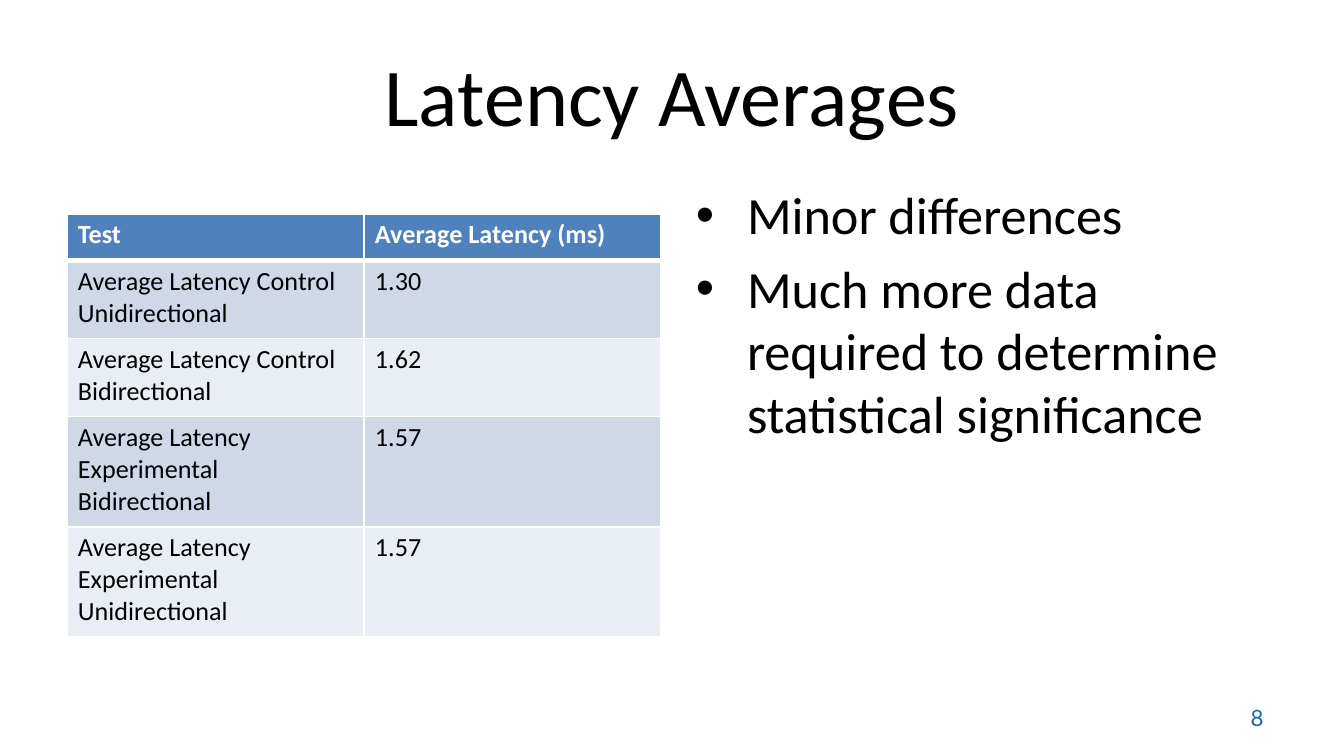
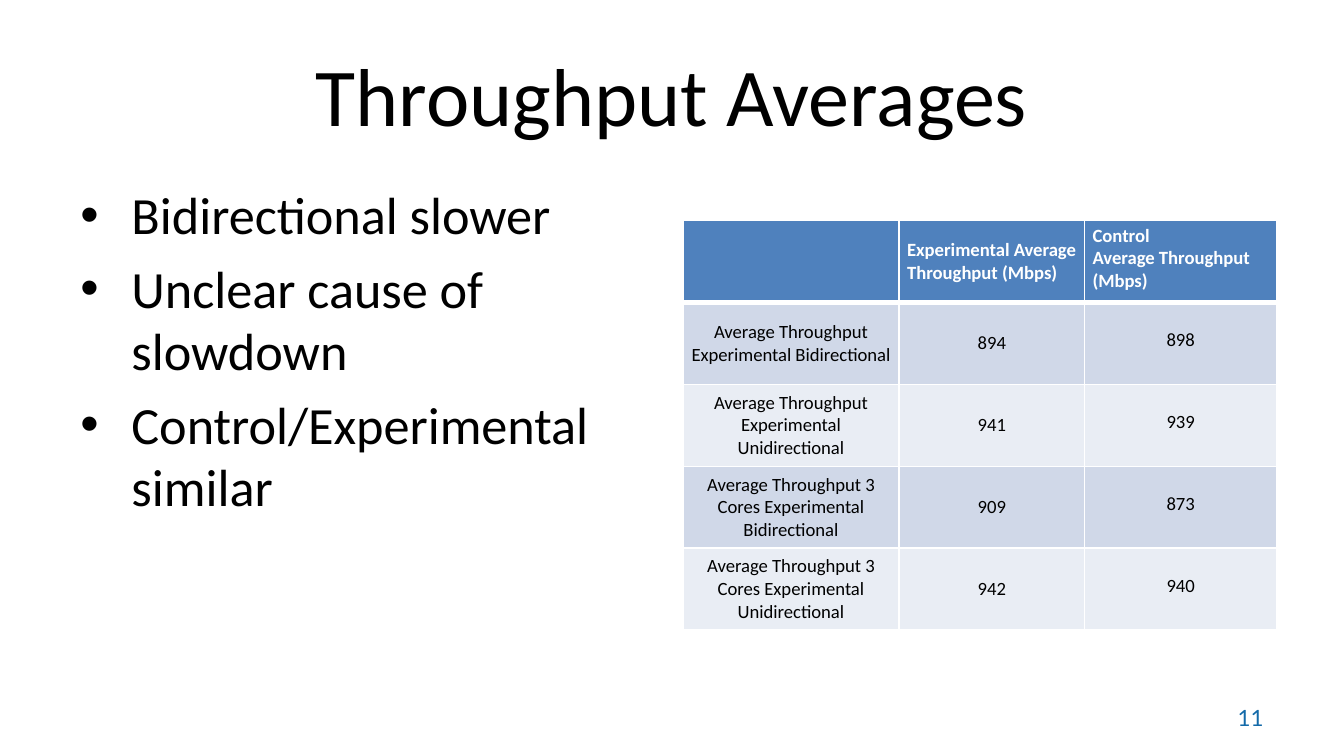
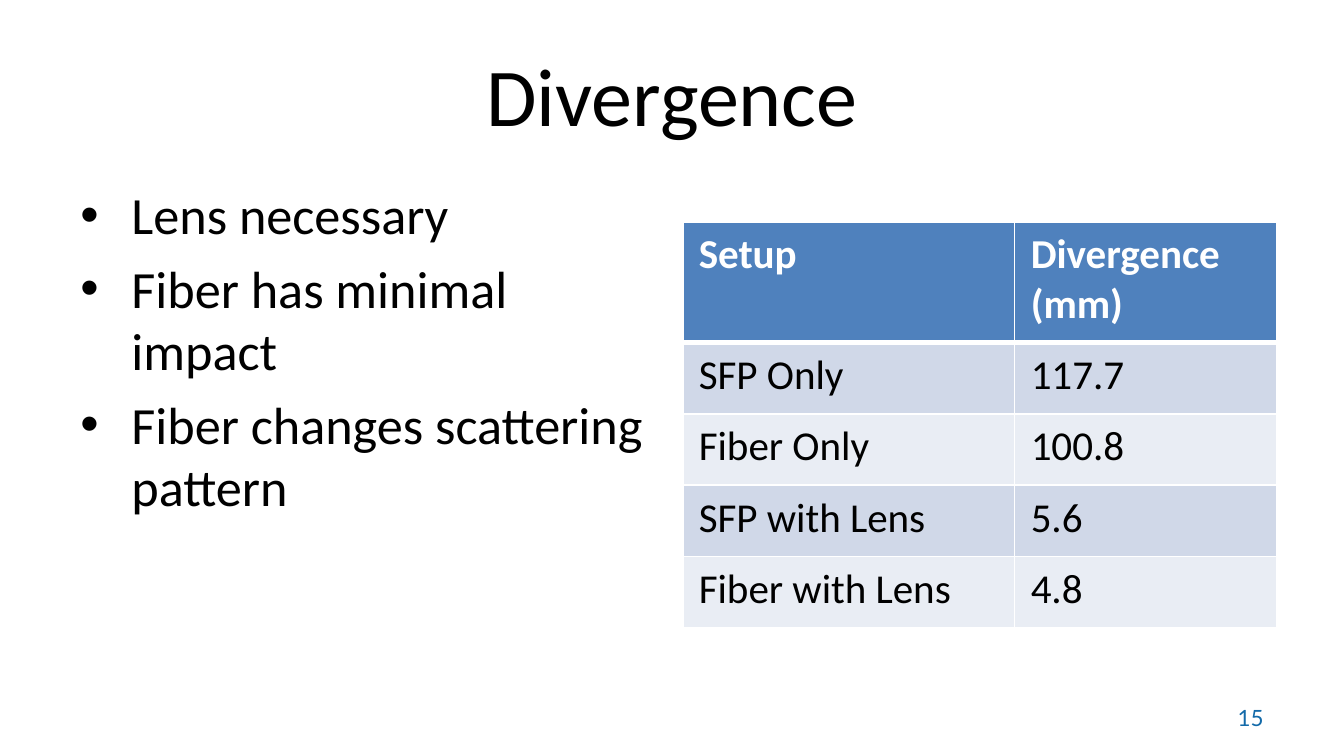
from lxml import etree
from pptx import Presentation
from pptx.dml.color import RGBColor
from pptx.enum.text import MSO_ANCHOR, PP_ALIGN
from pptx.oxml.ns import qn
from pptx.util import Inches, Pt

LEFT, CENTER, RIGHT = PP_ALIGN.LEFT, PP_ALIGN.CENTER, PP_ALIGN.RIGHT
TOP, MIDDLE = MSO_ANCHOR.TOP, MSO_ANCHOR.MIDDLE

COLORS = {
    "text": "000000",
    "header_text": "FFFFFF",
    "header": "4F81BD",
    "odd_row": "D0D8E8",
    "even_row": "E9EDF4",
    "border": "FFFFFF",
    "number": "136AA9",
}
BODY_FONT, NUMBER_FONT = "Calibri", "Lato"
TITLE_ONLY = 5
LEFT_COLUMN, RIGHT_COLUMN, COLUMN_WIDTH = 0.5, 5.08, 4.42
BULLET_INDENT = 0.38
NO_BREAK_SPACE = chr(160)


def style(paragraph, size, color="text", font=BODY_FONT, bold=False, align=LEFT):
    paragraph.alignment = align
    paragraph.font.size = Pt(size)
    for run in paragraph.runs:
        run.font.size = Pt(size)
        run.font.name = font
        run.font.bold = bold
        run.font.color.rgb = RGBColor.from_string(COLORS[color])


def add_text_frame(slide, left, top, width, height):
    frame = slide.shapes.add_textbox(
        Inches(left), Inches(top), Inches(width), Inches(height)
    ).text_frame
    frame.word_wrap = True
    return frame


def add_title(slide, text):
    title = slide.shapes.title
    title.left, title.top = Inches(0.5), Inches(0.23)
    title.width, title.height = Inches(9), Inches(0.94)
    title.text_frame.text = text
    title.text_frame.vertical_anchor = MIDDLE
    style(title.text_frame.paragraphs[0], 44, align=CENTER)


def add_bullets(slide, left, points):
    frame = add_text_frame(slide, left, 1.31, COLUMN_WIDTH, 3.71)
    for index, point in enumerate(points):
        paragraph = frame.add_paragraph() if index else frame.paragraphs[0]
        paragraph.text = point
        properties = paragraph._p.get_or_add_pPr()
        properties.set("marL", str(Inches(BULLET_INDENT)))
        properties.set("indent", str(-Inches(BULLET_INDENT)))
        etree.SubElement(properties, qn("a:buFont"), typeface="Arial")
        etree.SubElement(properties, qn("a:buChar"), char="•")
        style(paragraph, 28)
        if index:
            paragraph.space_before = Pt(5.6)


def add_slide_number(slide, number):
    paragraph = add_text_frame(slide, 7.17, 5.21, 2.33, 0.3).paragraphs[0]
    paragraph.text = str(number)
    paragraph.line_spacing = 0.9
    paragraph.space_after = Pt(6)
    style(paragraph, 12, "number", NUMBER_FONT, align=RIGHT)


def set_borders(cell, row):
    widths = {"L": 1, "R": 1, "T": 3 if row == 1 else 1, "B": 3 if row == 0 else 1}
    properties = cell._tc.get_or_add_tcPr()
    for side, width in widths.items():
        line = etree.SubElement(properties, qn(f"a:ln{side}"), w=str(Pt(width)))
        fill = etree.SubElement(line, qn("a:solidFill"))
        etree.SubElement(fill, qn("a:srgbClr"), val=COLORS["border"])


def format_cell(cell, row, text, size, inset, align=LEFT, anchor=TOP):
    set_borders(cell, row)
    band = "header" if row == 0 else "odd_row" if row % 2 else "even_row"
    cell.fill.solid()
    cell.fill.fore_color.rgb = RGBColor.from_string(COLORS[band])
    cell.margin_left = cell.margin_right = Inches(inset)
    cell.margin_top = cell.margin_bottom = Inches(inset / 2)
    cell.vertical_anchor = anchor
    cell.text_frame.text = text
    color = "header_text" if row == 0 else "text"
    style(cell.text_frame.paragraphs[0], size, color, bold=row == 0, align=align)


def add_data_table(slide, left, top, widths, heights, rows, size, inset,
                   body_align=LEFT, anchors=None):
    table = slide.shapes.add_table(
        len(rows), len(widths), Inches(left), Inches(top),
        Inches(sum(widths)), Inches(sum(heights)),
    ).table
    for column, width in zip(table.columns, widths):
        column.width = Inches(width)
    for table_row, height in zip(table.rows, heights):
        table_row.height = Inches(height)
    anchors = anchors or [TOP] * len(widths)
    for row, values in enumerate(rows):
        align = body_align if row else LEFT
        for column, text in enumerate(values):
            format_cell(table.cell(row, column), row, text, size, inset,
                        align, anchors[column])
    return table


def add_content_slide(presentation, title, number, bullets_left, points):
    slide = presentation.slides.add_slide(presentation.slide_layouts[TITLE_ONLY])
    add_title(slide, title)
    add_bullets(slide, bullets_left, points)
    add_slide_number(slide, number)
    return slide


def add_latency_slide(presentation):
    slide = add_content_slide(presentation, "Latency Averages", 8, RIGHT_COLUMN, [
        "Minor differences",
        "Much more data required to determine statistical significance",
    ])
    rows = [
        ("Test", "Average Latency (ms)"),
        ("Average Latency Control Unidirectional", "1.30"),
        ("Average Latency Control Bidirectional", "1.62"),
        ("Average Latency Experimental Bidirectional", "1.57"),
        ("Average Latency Experimental Unidirectional", "1.57"),
    ]
    add_data_table(slide, LEFT_COLUMN, 1.59, [COLUMN_WIDTH / 2] * 2,
                   [0.35, 0.58, 0.58, 0.82, 0.82], rows, size=14, inset=0.08)


def add_throughput_slide(presentation):
    slide = add_content_slide(presentation, "Throughput Averages", 11, LEFT_COLUMN, [
        "Bidirectional slower",
        "Unclear cause of slowdown",
        "Control/Experimental similar",
    ])
    rows = [
        ("", "Experimental Average Throughput (Mbps)",
         f"Control Average{NO_BREAK_SPACE}Throughput (Mbps)"),
        ("Average Throughput Experimental Bidirectional", "894", "898"),
        ("Average Throughput Experimental Unidirectional", "941", "939"),
        ("Average Throughput 3 Cores Experimental Bidirectional", "909", "873"),
        ("Average Throughput 3 Cores Experimental Unidirectional", "942", "940"),
    ]
    table = add_data_table(slide, RIGHT_COLUMN, 1.64, [1.61, 1.38, 1.43],
                           [0.61] * len(rows), rows, size=10, inset=0.06,
                           body_align=CENTER, anchors=[MIDDLE, MIDDLE, TOP])
    for row in range(1, len(rows)):
        table.cell(row, 2).margin_top = Inches(0.2)


def add_divergence_slide(presentation):
    slide = add_content_slide(presentation, "Divergence", 15, LEFT_COLUMN, [
        "Lens necessary",
        "Fiber has minimal impact",
        "Fiber changes scattering pattern",
    ])
    rows = [
        ("Setup", "Divergence (mm)"),
        ("SFP Only", "117.7"),
        ("Fiber Only", "100.8"),
        ("SFP with Lens", "5.6"),
        ("Fiber with Lens", "4.8"),
    ]
    add_data_table(slide, RIGHT_COLUMN, 1.65, [2.47, 1.95],
                   [0.9] + [0.53] * 4, rows, size=22, inset=0.12)


def main():
    presentation = Presentation()
    presentation.slide_width = Inches(10)
    presentation.slide_height = presentation.slide_width * 9 // 16
    add_latency_slide(presentation)
    add_throughput_slide(presentation)
    add_divergence_slide(presentation)
    presentation.save("out.pptx")


if __name__ == "__main__":
    main()
